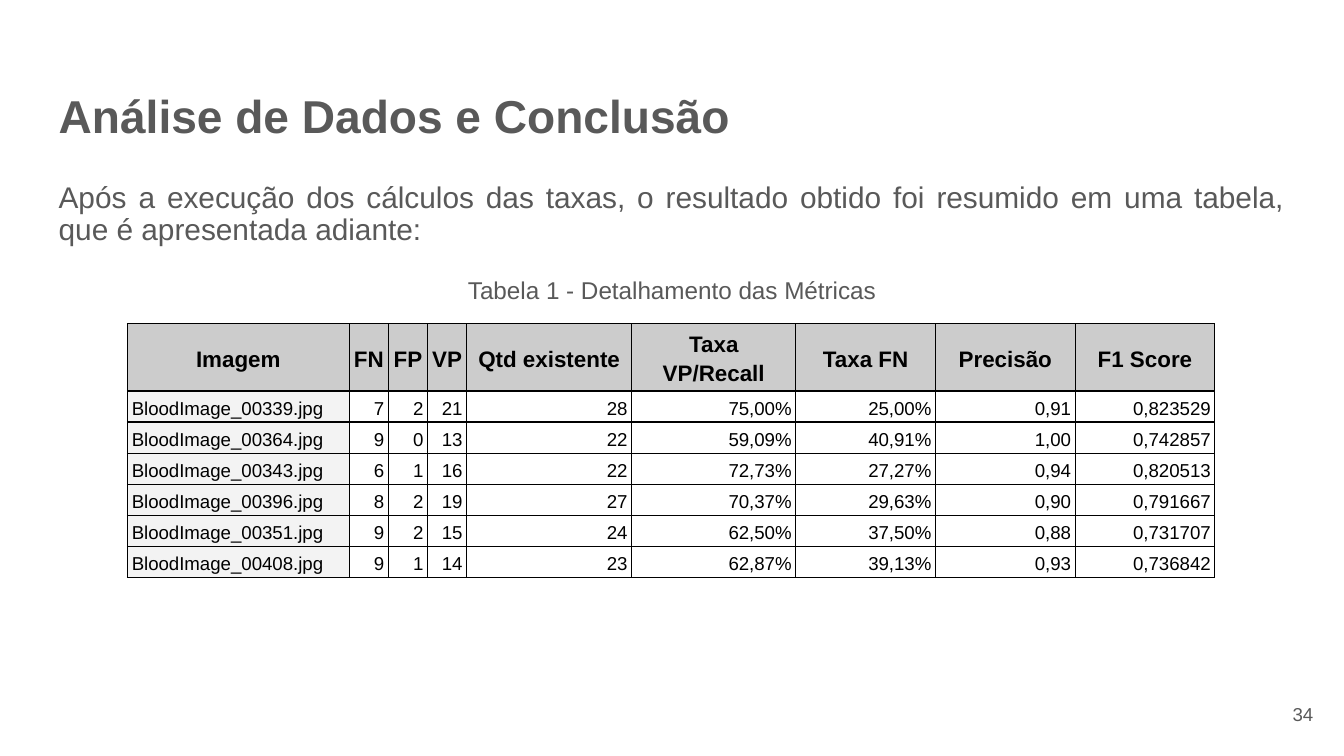
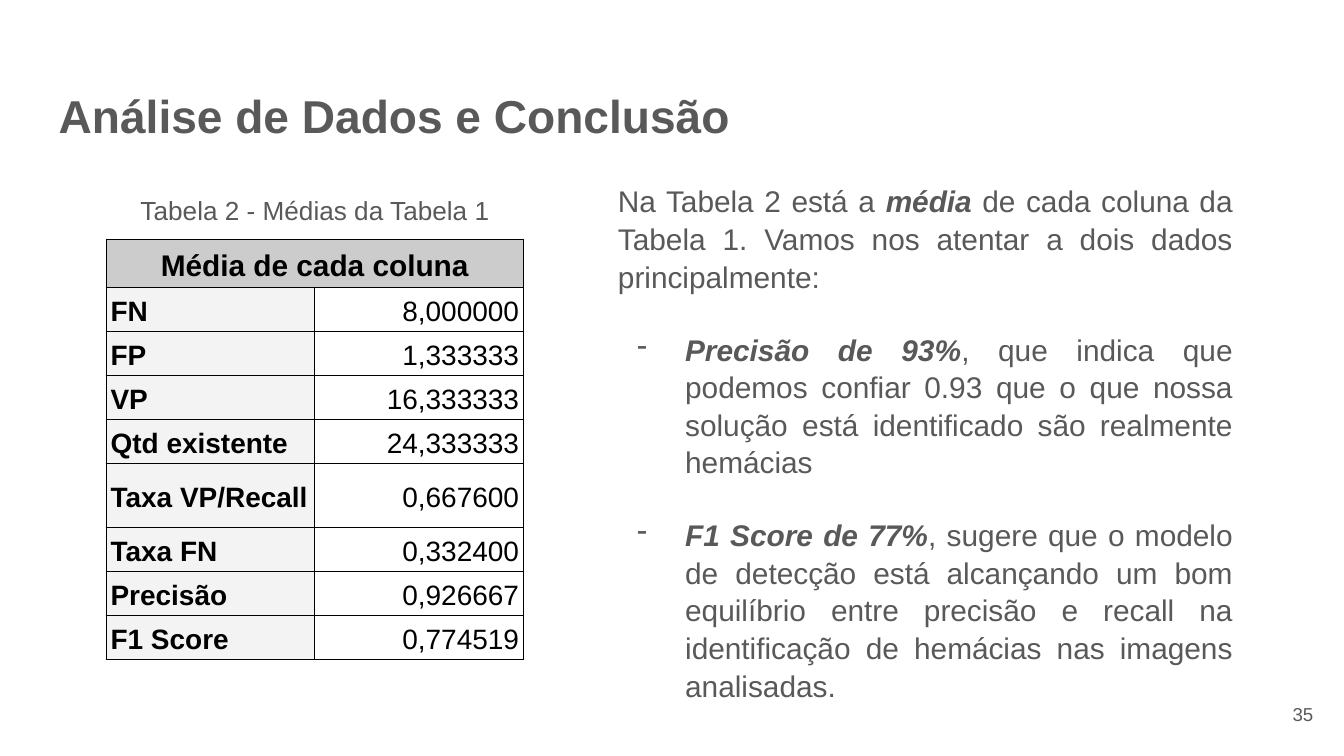
from dataclasses import dataclass

from lxml import etree
from pptx import Presentation
from pptx.dml.color import RGBColor
from pptx.enum.text import MSO_ANCHOR, PP_ALIGN
from pptx.oxml.ns import qn
from pptx.util import Cm, Pt

LEFT, MID, RIGHT, JUST = PP_ALIGN.LEFT, PP_ALIGN.CENTER, PP_ALIGN.RIGHT, PP_ALIGN.JUSTIFY
TOP, HALF, LOW = MSO_ANCHOR.TOP, MSO_ANCHOR.MIDDLE, MSO_ANCHOR.BOTTOM


@dataclass(frozen=True)
class Theme:
    font: str = "Arial"
    gray: str = "595959"
    ink: str = "000000"
    band: str = "CCCCCC"
    side: str = "F3F3F3"
    title: float = 24.7
    body: float = 16
    label: float = 14
    note: float = 13
    head: float = 12
    small: float = 10
    stat: float = 15
    rule: float = 0.75


THEME = Theme()


def put(par, text, size=THEME.body, color=THEME.gray, bold=False,
        align=LEFT, line=1.0, before=0, dash=False):
    if dash:
        props = par._p.get_or_add_pPr()
        props.set("marL", str(Cm(1.27)))
        props.set("indent", str(-Cm(0.91)))
        tint = etree.SubElement(props, qn("a:buClr"))
        etree.SubElement(tint, qn("a:srgbClr"), val=color)
        etree.SubElement(props, qn("a:buChar"), char="-")
    par.alignment = align
    par.line_spacing = line
    if before:
        par.space_before = Pt(before)
    for num, part in enumerate(text.split("*")):
        if not part:
            continue
        strong = num % 2 == 1
        run = par.add_run()
        run.text = part
        run.font.name = THEME.font
        run.font.size = Pt(size)
        run.font.bold = bold or strong
        run.font.italic = strong
        run.font.color.rgb = RGBColor.from_string(color)


class Deck:
    def __init__(self, theme):
        self.theme = theme
        self.prs = Presentation()
        self.prs.slide_width = Cm(25.4)
        self.prs.slide_height = Cm(14.29)
        self.slide = None

    def page(self, title, num):
        self.slide = self.prs.slides.add_slide(self.prs.slide_layouts[6])
        look = self.theme
        self.box((0.86, 1.24, 23.67, 1.6),
                 dict(text=title, size=look.title, bold=True, line=1.15))
        self.box((23.55, 12.95, 1.52, 1.09),
                 dict(text=str(num), size=look.small, align=RIGHT), anchor=HALF)

    def box(self, area, *items, anchor=TOP):
        frame = self.slide.shapes.add_textbox(*map(Cm, area)).text_frame
        frame.word_wrap = True
        frame.vertical_anchor = anchor
        frame.margin_left = frame.margin_right = Cm(0.25)
        frame.margin_top = frame.margin_bottom = Cm(0.25)
        for num, item in enumerate(items):
            par = frame.add_paragraph() if num else frame.paragraphs[0]
            put(par, **item)

    def cell(self, cell, text, fill=None, anchor=HALF, **form):
        cell.margin_left = cell.margin_right = Cm(0.08)
        cell.margin_top = cell.margin_bottom = Cm(0.05)
        cell.vertical_anchor = anchor
        props = cell._tc.get_or_add_tcPr()
        for edge in ("lnL", "lnR", "lnT", "lnB"):
            rule = etree.SubElement(props, qn("a:" + edge), w=str(Pt(self.theme.rule)))
            paint = etree.SubElement(rule, qn("a:solidFill"))
            etree.SubElement(paint, qn("a:srgbClr"), val=self.theme.ink)
        if fill:
            cell.fill.solid()
            cell.fill.fore_color.rgb = RGBColor.from_string(fill)
        else:
            cell.fill.background()
        put(cell.text_frame.paragraphs[0], text, color=self.theme.ink, line=1.15, **form)

    def table(self, left, top, cols, highs, rows, head, size, bold=False, anchor=HALF):
        look = self.theme
        grid = self.slide.shapes.add_table(
            len(rows), len(cols), Cm(left), Cm(top), Cm(sum(cols)), Cm(sum(highs))).table
        grid.first_row = grid.horz_banding = False
        for col, wide in zip(grid.columns, cols):
            col.width = Cm(wide)
        for row, high in zip(grid.rows, highs):
            row.height = Cm(high)
        for r, row in enumerate(rows):
            for c, text in enumerate(row):
                if r == 0:
                    form = dict(fill=look.band, size=head, bold=True, align=MID)
                elif c == 0:
                    form = dict(fill=look.side, size=size, bold=bold, anchor=anchor)
                else:
                    form = dict(size=size, align=RIGHT, anchor=anchor)
                self.cell(grid.cell(r, c), text, **form)
        return grid


RATES = [
    ("Imagem", "FN", "FP", "VP", "Qtd existente", "Taxa VP/Recall",
     "Taxa FN", "Precisão", "F1 Score"),
    ("BloodImage_00339.jpg", "7", "2", "21", "28", "75,00%", "25,00%", "0,91", "0,823529"),
    ("BloodImage_00364.jpg", "9", "0", "13", "22", "59,09%", "40,91%", "1,00", "0,742857"),
    ("BloodImage_00343.jpg", "6", "1", "16", "22", "72,73%", "27,27%", "0,94", "0,820513"),
    ("BloodImage_00396.jpg", "8", "2", "19", "27", "70,37%", "29,63%", "0,90", "0,791667"),
    ("BloodImage_00351.jpg", "9", "2", "15", "24", "62,50%", "37,50%", "0,88", "0,731707"),
    ("BloodImage_00408.jpg", "9", "1", "14", "23", "62,87%", "39,13%", "0,93", "0,736842"),
]
MEANS = [
    ("Média de cada coluna", ""),
    ("FN", "8,000000"),
    ("FP", "1,333333"),
    ("VP", "16,333333"),
    ("Qtd existente", "24,333333"),
    ("Taxa VP/Recall", "0,667600"),
    ("Taxa FN", "0,332400"),
    ("Precisão", "0,926667"),
    ("F1 Score", "0,774519"),
]
TITLE = "Análise de Dados e Conclusão"


def main():
    deck = Deck(THEME)

    deck.page(TITLE, 34)
    deck.box(
        (0.86, 3.2, 23.67, 9.75),
        dict(text="Após a execução dos cálculos das taxas, o resultado obtido foi "
                  "resumido em uma tabela, que é apresentada adiante:",
             align=JUST, line=0.9),
        dict(text="Tabela 1 - Detalhamento das Métricas", size=THEME.note,
             align=MID, line=0.9, before=17))
    deck.table(2.41, 6.12, [4.19] + [0.74] * 3 + [3.12, 3.1] + [2.64] * 3,
               [1.09] + [0.56] * 6, RATES, THEME.head, THEME.small, anchor=LOW)

    deck.page(TITLE, 35)
    means = deck.table(2.01, 4.52, [3.94] * 2, [0.91] + [0.76] * 4 + [1.22] + [0.76] * 3,
                       MEANS, THEME.body, THEME.stat, bold=True)
    means.cell(0, 0).merge(means.cell(0, 1))
    prose = dict(align=JUST, line=1.05)
    point = dict(prose, before=19, dash=True)
    deck.box(
        (11.43, 3.18, 12.12, 9.78),
        dict(prose, text="Na Tabela 2 está a *média* de cada coluna da Tabela 1. "
                         "Vamos nos atentar a dois dados principalmente:"),
        dict(point, text="*Precisão de 93%*, que indica que podemos confiar 0.93 que o que "
                         "nossa solução está identificado são realmente hemácias"),
        dict(point, text="*F1 Score de 77%*, sugere que o modelo de detecção está alcançando "
                         "um bom equilíbrio entre precisão e recall na identificação de "
                         "hemácias nas imagens analisadas."))
    deck.box((1.27, 3.43, 9.37, 1.09),
             dict(text="Tabela 2 - Médias da Tabela 1", size=THEME.label, align=MID))

    deck.prs.save("out.pptx")


if __name__ == "__main__":
    main()
